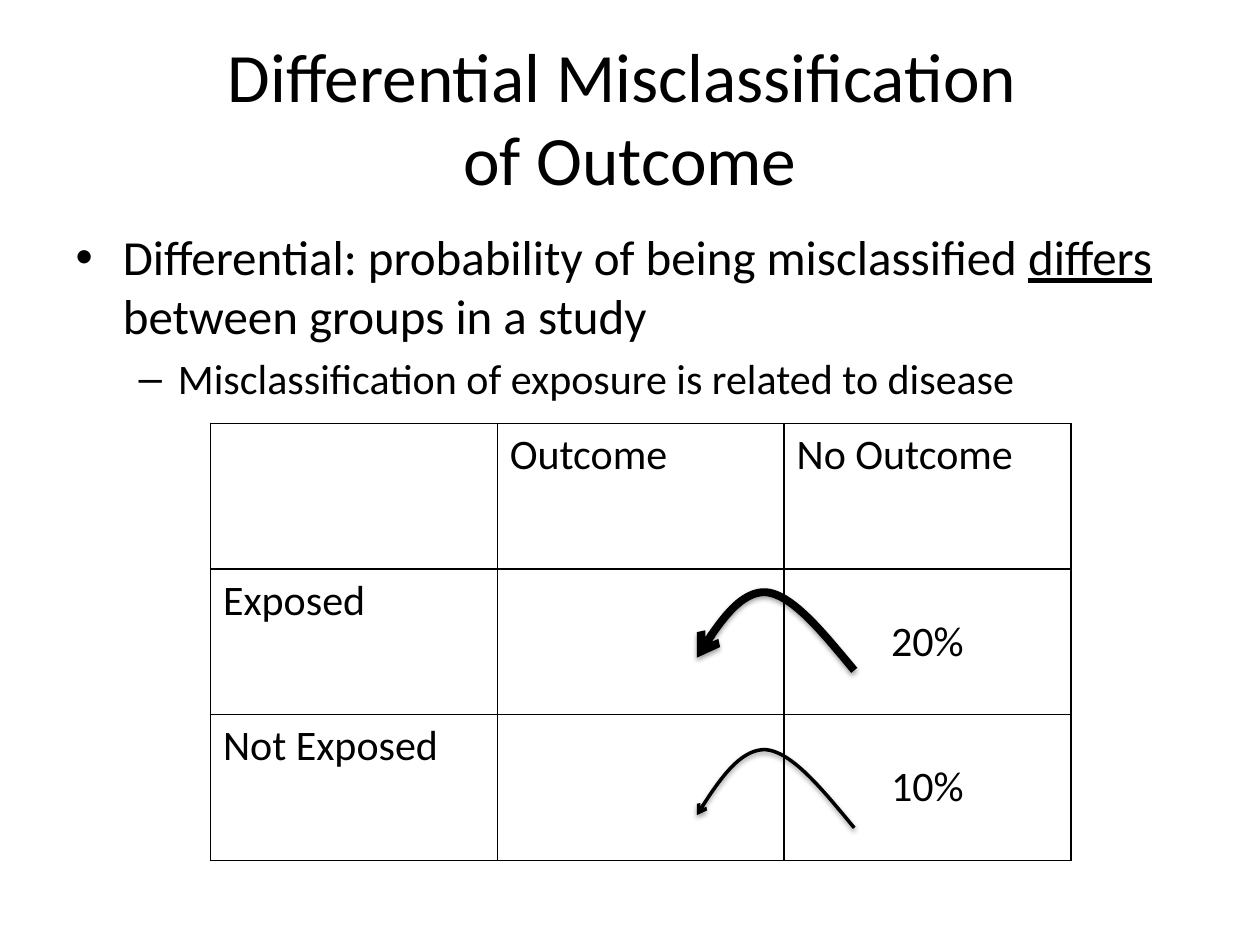
from lxml import etree
from pptx import Presentation
from pptx import util as u
from pptx.dml.color import RGBColor
from pptx.enum import text
from pptx.oxml import ns

BLACK = "000000"
FONT = "Calibri"


def color(value):
    """Turn a hex string into a colour."""
    return RGBColor.from_string(value)


def add_xml(parent, tag, **attributes):
    """Append a drawing element with the given attributes."""
    return etree.SubElement(parent, ns.qn(tag), attributes)


def curve_points(start, segments, steps=24):
    """Sample joined cubic Bezier segments, leaving out the start."""
    points = []
    for first, second, end in segments:
        for step in range(1, steps + 1):
            t = step / steps
            weights = ((1 - t) ** 3, 3 * t * (1 - t) ** 2, 3 * t * t * (1 - t), t ** 3)
            corners = (start, first, second, end)
            points.append(tuple(sum(w * corner[axis] for w, corner in zip(weights, corners))
                                for axis in (0, 1)))
        start = end
    return points


class SlideBuilder:
    """Holds the slide and its style."""

    def __init__(self, slide, font=FONT, ink=BLACK):
        """Keep the slide, font and ink colour."""
        self.slide, self.font, self.ink = slide, font, ink

    def format_runs(self, paragraph, size):
        """Give every run of a paragraph the slide's style."""
        for run in paragraph.runs:
            run.font.name = self.font
            run.font.size = u.Pt(size)
            run.font.color.rgb = color(self.ink)

    def place(self, shape, left, top, width, height):
        """Move a placeholder and turn off text fitting."""
        shape.left, shape.top = u.Inches(left), u.Inches(top)
        shape.width, shape.height = u.Inches(width), u.Inches(height)
        shape.text_frame.auto_size = text.MSO_AUTO_SIZE.NONE

    def title(self, words, box, size):
        """Fill the title placeholder."""
        shape = self.slide.shapes.title
        self.place(shape, *box)
        shape.text_frame.text = words
        shape.text_frame.vertical_anchor = text.MSO_ANCHOR.MIDDLE
        paragraph = shape.text_frame.paragraphs[0]
        paragraph.alignment = text.PP_ALIGN.CENTER
        self.format_runs(paragraph, size)

    def bullets(self, items, box):
        """Fill the body with (level, size, pieces); odd pieces are underlined."""
        shape = self.slide.placeholders[1]
        self.place(shape, *box)
        frame = shape.text_frame
        for index, (level, size, pieces) in enumerate(items):
            paragraph = frame.add_paragraph() if index else frame.paragraphs[0]
            paragraph.level = level
            for number, piece in enumerate(pieces):
                run = paragraph.add_run()
                run.text = piece
                if number % 2:
                    run.font.underline = True
            self.format_runs(paragraph, size)

    def borders(self, cell, width):
        """Draw the four borders of a cell."""
        properties = cell._tc.get_or_add_tcPr()
        for side in "LRTB":
            line = add_xml(properties, f"a:ln{side}", w=str(u.Pt(width)))
            add_xml(add_xml(line, "a:solidFill"), "a:srgbClr", val=self.ink)

    def table(self, rows, box, size):
        """Add a plain grid; percentages are centred."""
        frame = self.slide.shapes.add_table(len(rows), len(rows[0]), *map(u.Inches, box))
        table = frame.table
        table.first_row = table.horz_banding = False
        for row, values in enumerate(rows):
            for column, value in enumerate(values):
                cell = table.cell(row, column)
                self.borders(cell, 1)
                cell.fill.background()
                cell.text_frame.text = value
                paragraph = cell.text_frame.paragraphs[0]
                if value.endswith("%"):
                    cell.vertical_anchor = text.MSO_ANCHOR.MIDDLE
                    paragraph.alignment = text.PP_ALIGN.CENTER
                self.format_runs(paragraph, size)

    def curved_arrow(self, start, segments, drop, width):
        """Add a shadowed curve with an arrowhead, moved down by drop."""
        points = [(u.Inches(x), u.Inches(y + drop))
                  for x, y in [start] + curve_points(start, segments)]
        builder = self.slide.shapes.build_freeform(*points[0], scale=1.0)
        builder.add_line_segments(points[1:], close=False)
        shape = builder.convert_to_shape()
        shape.fill.background()
        shape.line.color.rgb = color(self.ink)
        shape.line.width = u.Pt(width)
        shape.shadow.inherit = False
        properties = shape._element.spPr
        line = properties.find(ns.qn("a:ln"))
        add_xml(line, "a:round")
        add_xml(line, "a:tailEnd", type="arrow")
        shadow = add_xml(properties.find(ns.qn("a:effectLst")), "a:outerShdw",
                         blurRad=str(u.Pt(3.1)), dist=str(u.Pt(1.6)),
                         dir="5400000", rotWithShape="0")
        add_xml(add_xml(shadow, "a:srgbClr", val=self.ink), "a:alpha", val="38000")


def main():
    """Build and save the presentation."""
    presentation = Presentation()
    presentation.slide_width, presentation.slide_height = u.Inches(10), u.Inches(7.5)
    builder = SlideBuilder(presentation.slides.add_slide(presentation.slide_layouts[1]))

    builder.title("Differential Misclassification \vof Outcome", (0.5, 0.3, 9, 1.25), 39.6)
    builder.bullets([
        (0, 28, ["Differential: probability of being misclassified ", "differs",
                 " between groups in a study"]),
        (1, 24, ["Misclassification of exposure is related to disease"]),
    ], (0.5, 1.75, 9, 4.95))
    builder.table([
        ["", "Outcome", "No Outcome"],
        ["Exposed", "", "20%"],
        ["Not Exposed", "", "10%"],
    ], (1.67, 3.36, 6.83, 3.47), 24)

    arc = [((6.53, 5.02), (6.29, 4.72), (6.08, 4.7)),
           ((5.87, 4.69), (5.7, 4.95), (5.53, 5.22))]
    for drop, width in ((0, 4.5), (1.25, 2)):
        builder.curved_arrow((6.78, 5.32), arc, drop, width)

    presentation.save("out.pptx")


main()
